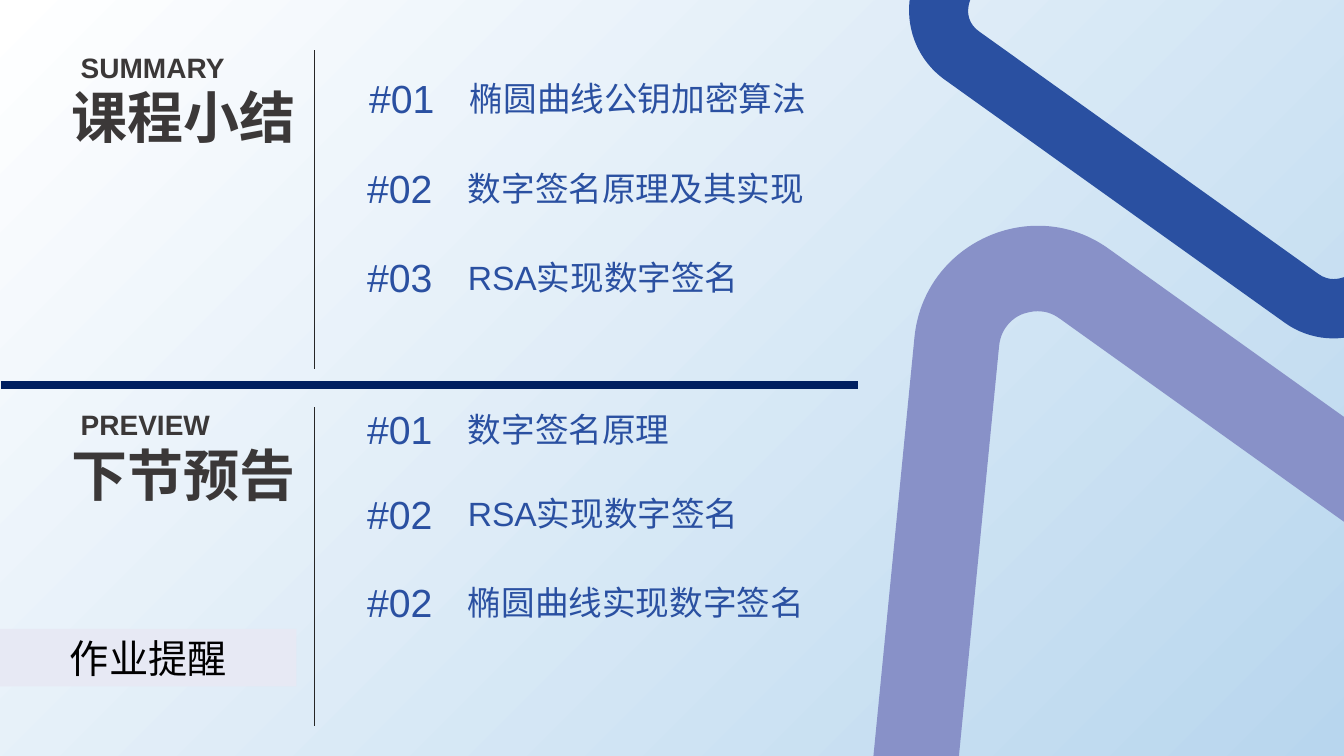
from lxml import etree
from pptx import Presentation
from pptx import util as u
from pptx.dml.color import RGBColor
from pptx.enum import shapes, text
from pptx.oxml.ns import qn

COLOURS = {
    "white": "FFFFFF", "sky": "B8D6EE", "blue": "2A50A1", "violet": "8891C8",
    "heading": "3B3838", "rule": "262626", "navy": "001F60",
    "band": "E7E9F4", "black": "000000",
}

# Rounded triangle around its centre: two numbers are a line end,
# six numbers are a Bézier curve. The second contour is the hole.
OUTER = [
    (-2.14, -3.94), (-2.72, 1.98),
    (-2.76, 2.45, -2.54, 2.86, -2.21, 3.1),
    (-1.87, 3.34, -1.42, 3.42, -0.99, 3.22),
    (4.43, 0.76), (5.29, 0.36, 5.4, -0.81, 4.63, -1.36),
    (-0.21, -4.82), (-0.97, -5.37, -2.05, -4.88, -2.14, -3.94),
]
INNER = [
    (-1.08, -4.17), (-1, -4.2, -0.85, -4.24, -0.7, -4.13),
    (4.14, -0.67), (4.3, -0.56, 4.31, -0.41, 4.3, -0.33),
    (4.29, -0.24, 4.25, -0.09, 4.08, -0.01),
    (-1.34, 2.45), (-1.51, 2.53, -1.65, 2.46, -1.72, 2.41),
    (-1.78, 2.36, -1.9, 2.26, -1.88, 2.06),
    (-1.3, -3.86), (-1.28, -4.05, -1.15, -4.14, -1.08, -4.17),
]


def colour(name):
    return RGBColor.from_string(COLOURS[name])


def inches(*lengths):
    return [u.Inches(length) for length in lengths]


def bend(shape, parts):
    """Join each three line ends that stand for a curve into one Bézier."""
    ends = iter(list(shape._element.iter(qn("a:lnTo"))))
    for part in parts:
        end = next(ends)
        if len(part) == 6:
            end.tag = qn("a:cubicBezTo")
            for other in (next(ends), next(ends)):
                end.append(other[0])
                other.getparent().remove(other)


def write(frame, words, size, ink, font="Arial", bold=False, align=text.PP_ALIGN.LEFT,
          anchor=text.MSO_ANCHOR.TOP, margin=0):
    frame.auto_size = text.MSO_AUTO_SIZE.NONE
    frame.word_wrap = False
    frame.vertical_anchor = anchor
    frame.margin_left = frame.margin_right = u.Inches(margin)
    frame.margin_top = frame.margin_bottom = u.Inches(margin)
    para = frame.paragraphs[0]
    para.alignment = align
    span = para.add_run()
    span.text = words
    span.font.size = u.Pt(size)
    span.font.name = font
    span.font.bold = bold
    span.font.color.rgb = colour(ink)


class SummarySlide:
    def __init__(self, deck):
        self.page = deck.slides.add_slide(deck.slide_layouts[5])

    def rectangle(self, left, top, width, height):
        box = self.page.shapes.add_shape(
            shapes.MSO_SHAPE.RECTANGLE, *inches(left, top, width, height))
        box.shadow.inherit = False
        box.line.fill.background()
        return box

    def backdrop(self, first, last):
        box = self.rectangle(0, 0, 13.33, 7.5)
        box.fill.gradient()
        box.fill.gradient_angle = 315
        for stop, name in zip(box.fill.gradient_stops, (first, last)):
            stop.color.rgb = colour(name)
        # Send behind the title placeholder
        self.page.shapes.title._element.addprevious(box._element)

    def title(self, words, left, top, width, height):
        box = self.page.shapes.title
        box.left, box.top, box.width, box.height = inches(left, top, width, height)
        write(box.text_frame, words, 40, "heading", bold=True)

    def label(self, words, left, top, width, height, parent=None, **style):
        box = (parent or self.page).shapes.add_textbox(*inches(left, top, width, height))
        write(box.text_frame, words, **style)

    def item(self, number, words, left, top):
        group = self.page.shapes.add_group_shape()
        self.label(words, left + 1, top + 0.035, 3.37, 0.5, group, size=24, ink="blue")
        self.label(number, left, top, 0.82, 0.59, group, size=28, ink="blue")

    def line(self, x1, y1, x2, y2, ink, width):
        line = self.page.shapes.add_connector(
            shapes.MSO_CONNECTOR.STRAIGHT, *inches(x1, y1, x2, y2))
        line.line.color.rgb = colour(ink)
        line.line.width = u.Pt(width)
        etree.SubElement(line._element.spPr, qn("a:effectLst"))

    def band(self, words, left, top, width, height):
        band = self.rectangle(left, top, width, height)
        band.fill.solid()
        band.fill.fore_color.rgb = colour("band")
        write(band.text_frame, words, 28, "black", font="Times New Roman",
              align=text.PP_ALIGN.CENTER, anchor=text.MSO_ANCHOR.MIDDLE, margin=0.05)

    def triangle(self, group, centre_x, centre_y, scale, ink):
        outer, inner = (
            [inches(centre_x + scale * part[i], centre_y + scale * part[i + 1])
             for part in contour for i in range(0, len(part), 2)]
            for contour in (OUTER, INNER))
        builder = group.shapes.build_freeform(*outer[0])
        builder.add_line_segments(outer[1:], close=True)
        builder.move_to(*inner[0])
        builder.add_line_segments(inner[1:], close=True)
        shape = builder.convert_to_shape()
        bend(shape, OUTER[1:] + INNER[1:])
        shape.shadow.inherit = False
        shape.fill.solid()
        shape.fill.fore_color.rgb = colour(ink)
        shape.line.fill.background()


def main():
    deck = Presentation()
    deck.slide_width, deck.slide_height = inches(13.33, 7.5)
    slide = SummarySlide(deck)

    # Backdrop and the two opposed triangles
    slide.backdrop("white", "sky")
    triangles = slide.page.shapes.add_group_shape()
    slide.triangle(triangles, 12.59, -0.15, -1 / 1.44, "blue")
    slide.triangle(triangles, 11.21, 7.29, 1, "violet")

    # Headings, each with its vertical rule
    slide.title("课程小结", 0.71, 0.82, 2.25, 0.84)
    slide.label("下节预告", 0.71, 4.37, 2.25, 0.84, size=40, ink="heading", bold=True)
    for words, top in (("SUMMARY", 0.5), ("PREVIEW", 4.04)):
        slide.label(words, 0.8, top, 1.73, 0.34, size=20, ink="heading", bold=True)
        slide.line(3.12, top, 3.12, top + 3.16, "rule", 0.5)

    # Divider and homework reminder
    slide.line(0.01, 3.82, 8.51, 3.82, "navy", 6)
    slide.band("作业提醒", 0, 6.24, 2.94, 0.57)

    # Summary and preview items
    for number, words, left, top in (
        ("#01", "椭圆曲线公钥加密算法", 3.66, 0.74),
        ("#02", "数字签名原理及其实现", 3.64, 1.63),
        ("#03", "RSA实现数字签名", 3.64, 2.51),
        ("#01", "数字签名原理", 3.64, 4.02),
        ("#02", "RSA实现数字签名", 3.64, 4.86),
        ("#02", "椭圆曲线实现数字签名", 3.64, 5.74),
    ):
        slide.item(number, words, left, top)

    deck.save("out.pptx")


if __name__ == "__main__":
    main()
